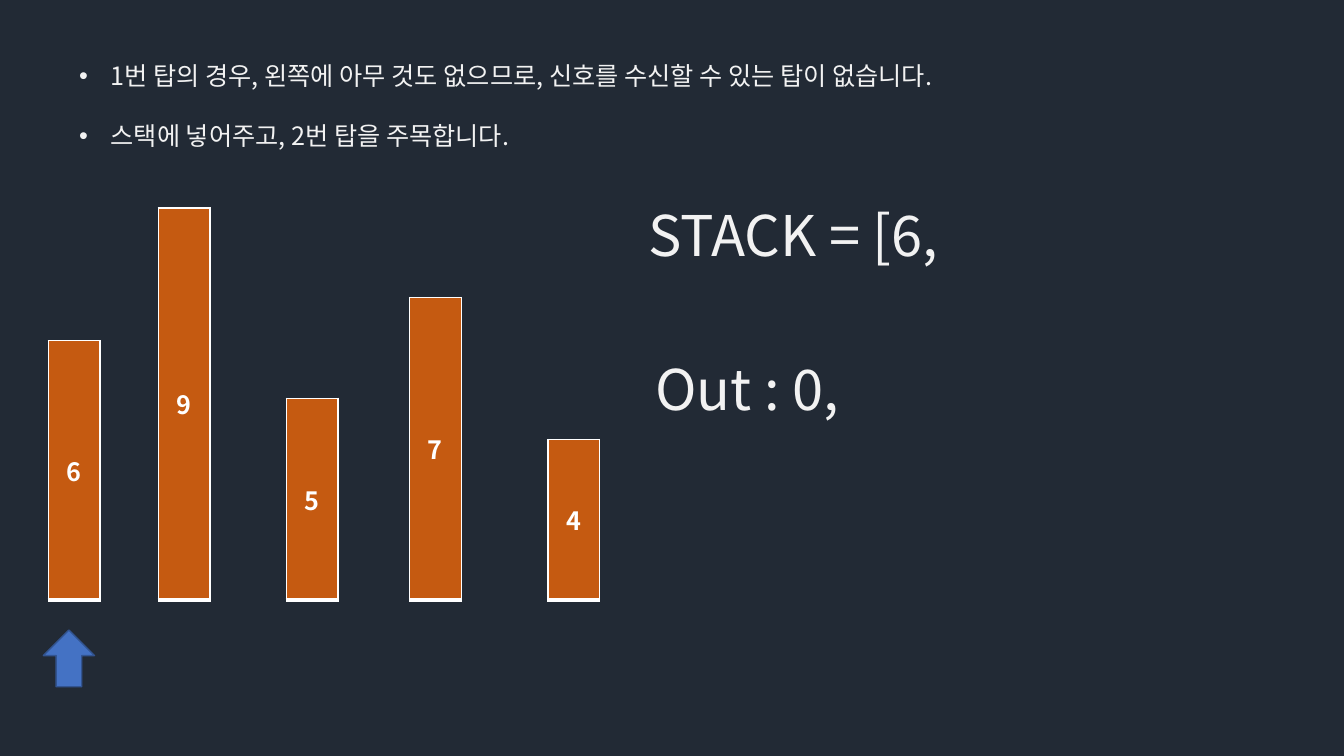
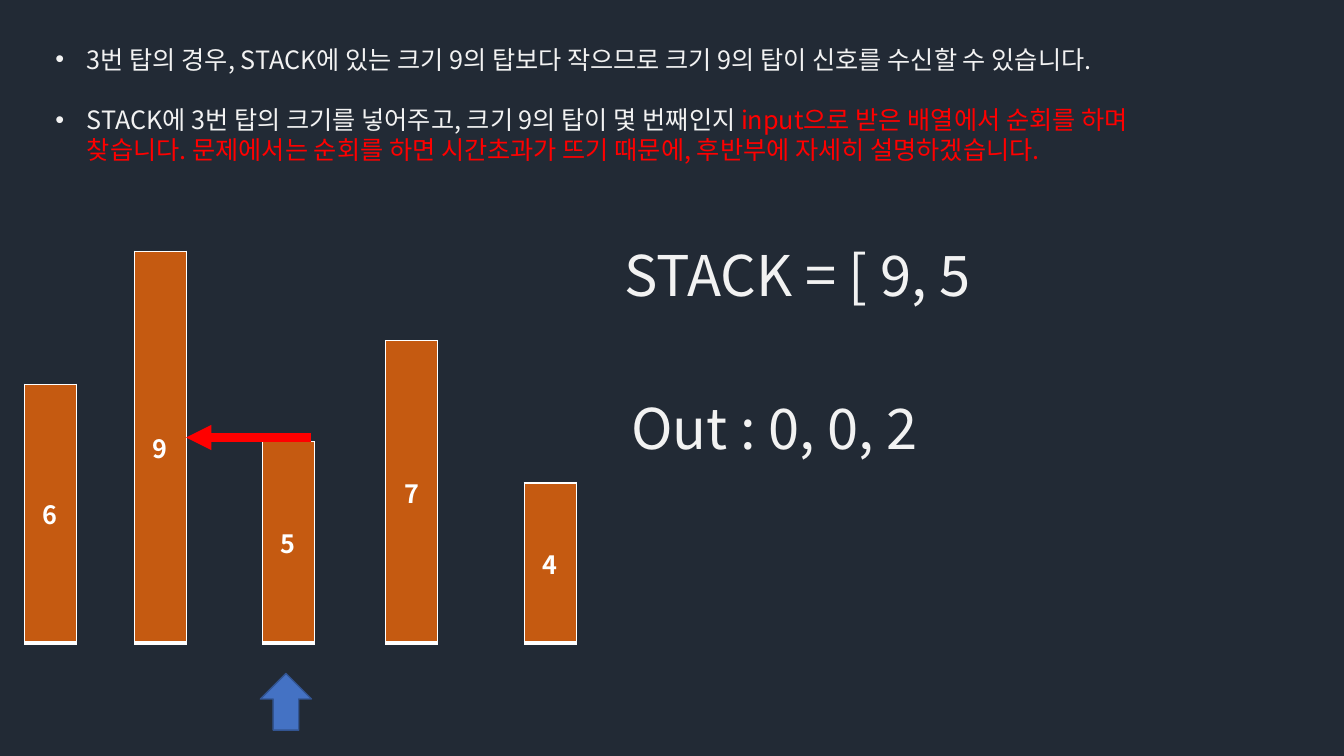
from lxml.etree import SubElement
from pptx import Presentation
from pptx.dml.color import RGBColor
from pptx.enum.shapes import MSO_CONNECTOR, MSO_SHAPE
from pptx.enum.text import MSO_ANCHOR, PP_ALIGN
from pptx.oxml.ns import qn
from pptx.util import Pt

COLORS = {
    "background": "222A35",
    "tower": "C55A11",
    "border": "FFFFFF",
    "text": "F2F2F2",
    "accent": "FF0000",
    "pointer": "4472C4",
    "pointer_line": "325491",
}
FONT = "Noto Sans CJK KR"
BASELINE = 428.5
TOWER_WIDTH = 37
TOWERS = [("6", 34.5, 185), ("9", 113, 280), ("5", 204.5, 144), ("7", 292.5, 216), ("4", 391.5, 114.5)]
BORDERS = [("a:lnL", 1), ("a:lnR", 1), ("a:lnT", 1), ("a:lnB", 3)]
POINTER_WIDTH = 36.5

STEPS = [
    {
        "bullets": [
            [("1번 탑의 경우, 왼쪽에 아무 것도 없으므로, 신호를 수신할 수 있는 탑이 없습니다.", "text")],
            [("스택에 넣어주고, 2번 탑을 주목합니다.", "text")],
        ],
        "bullets_at": (49.5, 39.5, 94),
        "shift": (0, 0),
        "pointer_left": 31,
        "labels_at": (456, 140),
        "labels": ["STACK = [6,", "Out : 0,"],
        "signal_to": None,
    },
    {
        "bullets": [
            [("3번 탑의 경우, STACK에 있는 크기 9의 탑보다 작으므로 크기 9의 탑이 신호를 수신할 수 있습니다.", "text")],
            [
                ("STACK에 3번 탑의 크기를 넣어주고, 크기 9의 탑이 몇 번째인지 ", "text"),
                ("input으로 받은 배열에서 순회를 하며 찾습니다. 문제에서는 순회를 하면 시간초과가 뜨기 때문에, "
                 "후반부에 자세히 설명하겠습니다.", "accent"),
            ],
        ],
        "bullets_at": (32.5, 28, 117),
        "shift": (-17, 31),
        "pointer_left": 186,
        "labels_at": (439, 168),
        "labels": ["STACK = [ 9, 5", "Out : 0, 0, 2"],
        "signal_to": 1,
    },
]


def color(name):
    return RGBColor.from_string(COLORS[name])


def style_span(span, size, color_name, bold=False):
    span.font.name = FONT
    span.font.size = Pt(size)
    span.font.bold = bold
    span.font.color.rgb = color(color_name)
    SubElement(span.font._element, qn("a:ea"), typeface=FONT)


deck = Presentation()
deck.slide_width = Pt(960)
deck.slide_height = Pt(540)
background = deck.slide_master.background.fill
background.solid()
background.fore_color.rgb = color("background")

for step in STEPS:
    page = deck.slides.add_slide(deck.slide_layouts[6])
    shift_x, shift_y = step["shift"]

    for value, left, height in TOWERS:
        table = page.shapes.add_table(
            1, 1, Pt(left + shift_x), Pt(BASELINE - height + shift_y), Pt(TOWER_WIDTH), Pt(height)
        ).table
        table.first_row = False
        table.horz_banding = False
        cell = table.cell(0, 0)
        cell.text_frame.text = value
        cell.vertical_anchor = MSO_ANCHOR.MIDDLE
        para = cell.text_frame.paragraphs[0]
        para.alignment = PP_ALIGN.CENTER
        style_span(para.runs[0], 18, "border", True)
        properties = cell._tc.get_or_add_tcPr()
        for tag, width in BORDERS:
            border = SubElement(properties, qn(tag), w=str(Pt(width)))
            border_fill = SubElement(border, qn("a:solidFill"))
            SubElement(border_fill, qn("a:srgbClr"), val=COLORS["border"])
        cell.fill.solid()
        cell.fill.fore_color.rgb = color("tower")

    pointer = page.shapes.add_shape(
        MSO_SHAPE.UP_ARROW, Pt(step["pointer_left"]), Pt(450 + shift_y), Pt(POINTER_WIDTH), Pt(40.5)
    )
    pointer.shadow.inherit = False
    pointer.fill.solid()
    pointer.fill.fore_color.rgb = color("pointer")
    pointer.line.color.rgb = color("pointer_line")
    pointer.line.width = Pt(1)

    left, top, height = step["bullets_at"]
    box = page.shapes.add_textbox(Pt(left), Pt(top), Pt(839), Pt(height))
    box.text_frame.word_wrap = True
    for index, parts in enumerate(step["bullets"]):
        para = box.text_frame.add_paragraph() if index else box.text_frame.paragraphs[0]
        if index:
            para.space_before = Pt(21.5)
        properties = para._p.get_or_add_pPr()
        properties.set("marL", str(Pt(22.5)))
        properties.set("indent", str(Pt(-22.5)))
        SubElement(properties, qn("a:buFont"), typeface="Arial")
        SubElement(properties, qn("a:buChar"), char="•")
        for text, color_name in parts:
            span = para.add_run()
            span.text = text
            style_span(span, 18, color_name)

    left, top = step["labels_at"]
    for index, text in enumerate(step["labels"]):
        box = page.shapes.add_textbox(Pt(left + 5 * index), Pt(top + 109.5 * index), Pt(433), Pt(55.5))
        box.text_frame.word_wrap = True
        box.text_frame.text = text
        style_span(box.text_frame.paragraphs[0].runs[0], 40, "text")

    if step["signal_to"] is not None:
        target_left = TOWERS[step["signal_to"]][1] + TOWER_WIDTH + shift_x
        signal = page.shapes.add_connector(
            MSO_CONNECTOR.STRAIGHT,
            Pt(step["pointer_left"] + POINTER_WIDTH), Pt(312.5), Pt(target_left), Pt(312.5),
        )
        signal.line.color.rgb = color("accent")
        signal.line.width = Pt(6)
        SubElement(signal.line._get_or_add_ln(), qn("a:tailEnd"), type="triangle")
        SubElement(signal._element.spPr, qn("a:effectLst"))

deck.save("out.pptx")
